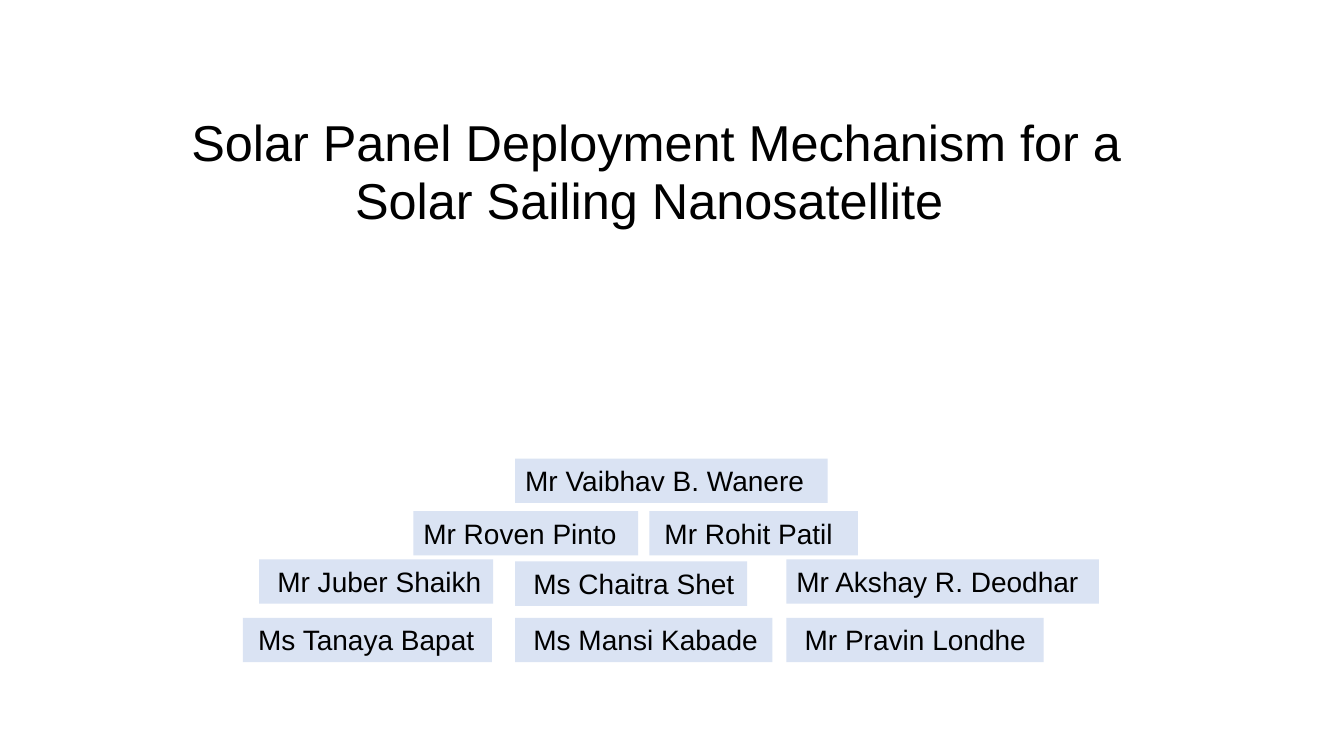
from pptx import Presentation
from pptx import util as u
from pptx.dml import color
from pptx.enum import shapes, text

TITLE = "Solar Panel Deployment Mechanism for a Solar Sailing Nanosatellite "
NAME_HEIGHT = 0.44
NAMES = [
    ("Mr Vaibhav B. Wanere", 5.11, 4.55, 3.1, 0),
    ("Mr Roven Pinto", 4.1, 5.07, 2.23, 0),
    ("Mr Rohit Patil", 6.44, 5.07, 2.07, 0.05),
    ("Mr Juber Shaikh", 2.57, 5.55, 2.32, 0.08),
    ("Ms Chaitra Shet", 5.11, 5.57, 2.3, 0.08),
    ("Mr Akshay R. Deodhar", 7.8, 5.55, 3.1, 0),
    ("Ms Tanaya Bapat", 2.41, 6.13, 2.47, 0.05),
    ("Ms Mansi Kabade", 5.11, 6.13, 2.55, 0.08),
    ("Mr Pravin Londhe", 7.8, 6.13, 2.55, 0.08),
]


def paint(target, hex_color):
    target.rgb = color.RGBColor.from_string(hex_color)


def set_margins(frame, left, right, top, bottom):
    frame.margin_left, frame.margin_right = u.Inches(left), u.Inches(right)
    frame.margin_top, frame.margin_bottom = u.Inches(top), u.Inches(bottom)


def add_run(paragraph, words, size):
    run = paragraph.add_run()
    run.text = words
    run.font.name = "Arial"
    run.font.size = u.Pt(size)
    paint(run.font.color, "000000")


def fill_title(slide):
    title = slide.shapes.title
    title.left, title.top = u.Inches(1.67), u.Inches(0.52)
    title.width, title.height = u.Inches(9.68), u.Inches(2.6)
    frame = title.text_frame
    frame.word_wrap = True
    frame.auto_size = text.MSO_AUTO_SIZE.NONE
    frame.vertical_anchor = text.MSO_ANCHOR.MIDDLE
    set_margins(frame, 0.1, 0.1, 0.05, 0.25)
    paragraph = frame.paragraphs[0]
    paragraph.alignment = text.PP_ALIGN.CENTER
    paragraph.line_spacing = 0.95
    add_run(paragraph, TITLE, 36)


def add_name(slide, name, left, top, width, indent):
    shape = slide.shapes.add_shape(
        shapes.MSO_SHAPE.RECTANGLE, u.Inches(left), u.Inches(top),
        u.Inches(width), u.Inches(NAME_HEIGHT))
    shape.shadow.inherit = False
    shape.fill.solid()
    paint(shape.fill.fore_color, "DAE3F3")
    shape.line.fill.background()
    frame = shape.text_frame
    frame.word_wrap = True
    frame.vertical_anchor = text.MSO_ANCHOR.TOP
    set_margins(frame, 0.1 + indent, 0.05, 0.05, 0.05)
    paragraph = frame.paragraphs[0]
    paragraph.alignment = text.PP_ALIGN.LEFT
    add_run(paragraph, name, 20)


def main():
    presentation = Presentation()
    presentation.slide_width = u.Inches(13.33)
    presentation.slide_height = u.Inches(7.5)
    slide = presentation.slides.add_slide(presentation.slide_layouts[5])
    fill_title(slide)
    for name in NAMES:
        add_name(slide, *name)
    presentation.save("out.pptx")


if __name__ == "__main__":
    main()
